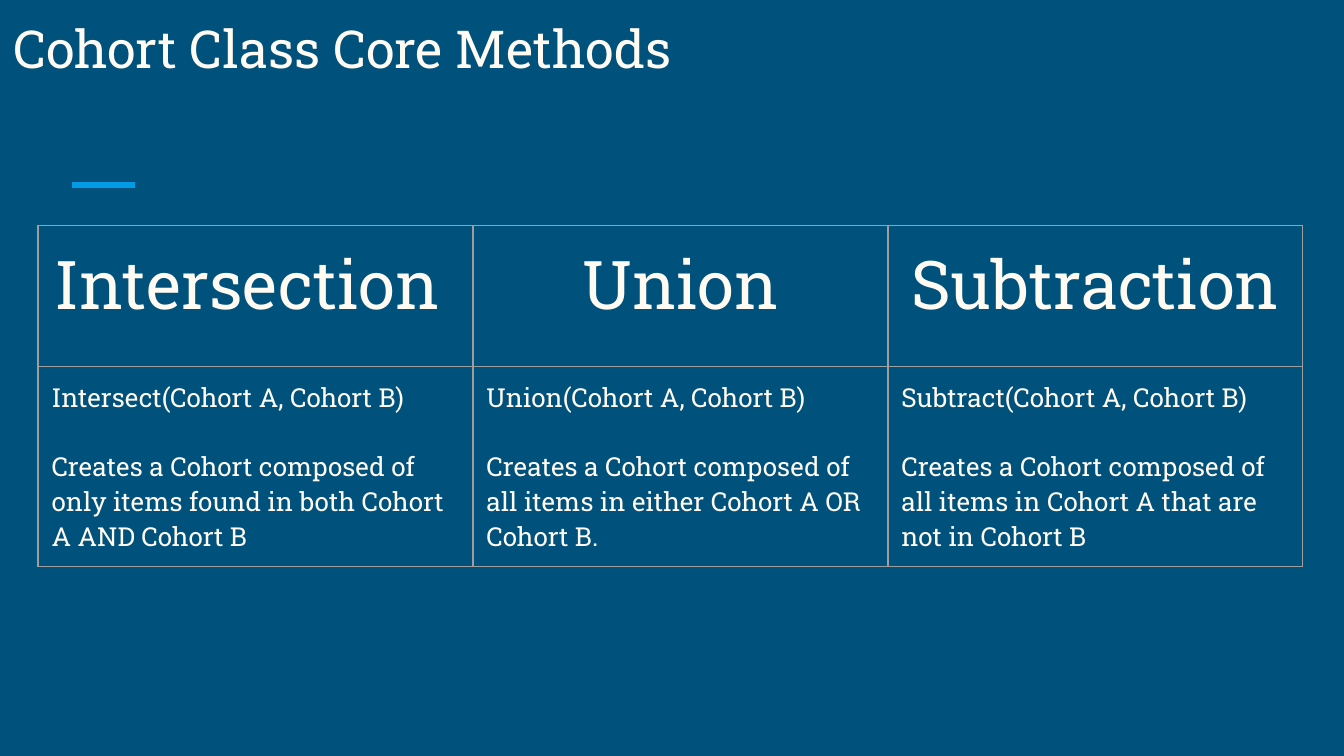
from lxml import etree
from pptx import Presentation
from pptx.dml.color import RGBColor
from pptx.enum import shapes as kinds, text as txt
from pptx.oxml import ns
from pptx.util import Pt

COLORS = {"back": "00517C", "text": "FFFBF2", "accent": "039BE5", "grid": "9E9E9E"}
FONT = "Roboto Slab"
PAD = Pt(7.2)
GAP = Pt(18.5)  # one body line between call and meaning

METHODS = [
    ("Intersection ", "Intersect(Cohort A, Cohort B)",
     "Creates a Cohort composed of only items found in both Cohort A AND Cohort B"),
    ("Union", "Union(Cohort A, Cohort B)",
     "Creates a Cohort composed of all items in either Cohort A OR Cohort B."),
    ("Subtraction", "Subtract(Cohort A, Cohort B)",
     "Creates a Cohort composed of all items in Cohort A that are not in Cohort B"),
]


def color(name):
    return RGBColor.from_string(COLORS[name])


def style(para, size, align):
    para.alignment = align
    for run in para.runs:
        run.font.size = Pt(size)
        run.font.name = FONT
        run.font.color.rgb = color("text")


def pad(item):
    item.margin_left = item.margin_right = PAD
    item.margin_top = item.margin_bottom = PAD


def border(cell):
    props = cell._tc.get_or_add_tcPr()
    for place, side in enumerate(("lnL", "lnR", "lnT", "lnB")):
        line = etree.Element(ns.qn("a:" + side), w=str(Pt(0.75)))
        fill = etree.SubElement(line, ns.qn("a:solidFill"))
        etree.SubElement(fill, ns.qn("a:srgbClr"), val=COLORS["grid"])
        props.insert(place, line)


def add_title(slide, words, left, top, width, height):
    title = slide.shapes.title
    title.left, title.top = Pt(left), Pt(top)
    title.width, title.height = Pt(width), Pt(height)
    frame = title.text_frame
    frame.text = words
    frame.word_wrap = True
    frame.auto_size = txt.MSO_AUTO_SIZE.NONE
    frame.vertical_anchor = txt.MSO_ANCHOR.MIDDLE
    pad(frame)
    style(frame.paragraphs[0], 28, txt.PP_ALIGN.LEFT)


def add_accent(slide, left, top, width):
    line = slide.shapes.add_connector(
        kinds.MSO_CONNECTOR.STRAIGHT, Pt(left), Pt(top), Pt(left + width), Pt(top))
    line.line.color.rgb = color("accent")
    line.line.width = Pt(3)
    etree.SubElement(line._element.spPr, ns.qn("a:effectLst"))


def fill_cell(cell, lines, size, align):
    cell.text_frame.text = "\n".join(lines)
    cell.vertical_anchor = txt.MSO_ANCHOR.TOP
    cell.fill.background()
    pad(cell)
    border(cell)
    for para in cell.text_frame.paragraphs:
        style(para, size, align)
    for para in cell.text_frame.paragraphs[1:]:
        para.space_before = GAP


def add_methods(slide, left, top, widths, heights):
    table = slide.shapes.add_table(
        len(heights), len(widths), Pt(left), Pt(top),
        Pt(sum(widths)), Pt(sum(heights))).table
    table.first_row = table.horz_banding = False
    for row, height in zip(table.rows, heights):
        row.height = Pt(height)
    for col, (width, method) in enumerate(zip(widths, METHODS)):
        table.columns[col].width = Pt(width)
        name, *about = method
        fill_cell(table.cell(0, col), [name], 36, txt.PP_ALIGN.CENTER)
        fill_cell(table.cell(1, col), about, 14, txt.PP_ALIGN.LEFT)


def main():
    deck = Presentation()
    deck.slide_width, deck.slide_height = Pt(720), Pt(405)
    slide = deck.slides.add_slide(deck.slide_layouts[5])
    slide.background.fill.solid()
    slide.background.fill.fore_color.rgb = color("back")

    # Accent rule, method table and title
    add_accent(slide, 38.6, 99.2, 33.6)
    add_methods(slide, 20.4, 120.7, (233, 222.3, 222.3), (75.6, 102.2))
    add_title(slide, "Cohort Class Core Methods", 0, 0, 693.4, 51.1)

    deck.save("out.pptx")


if __name__ == "__main__":
    main()
